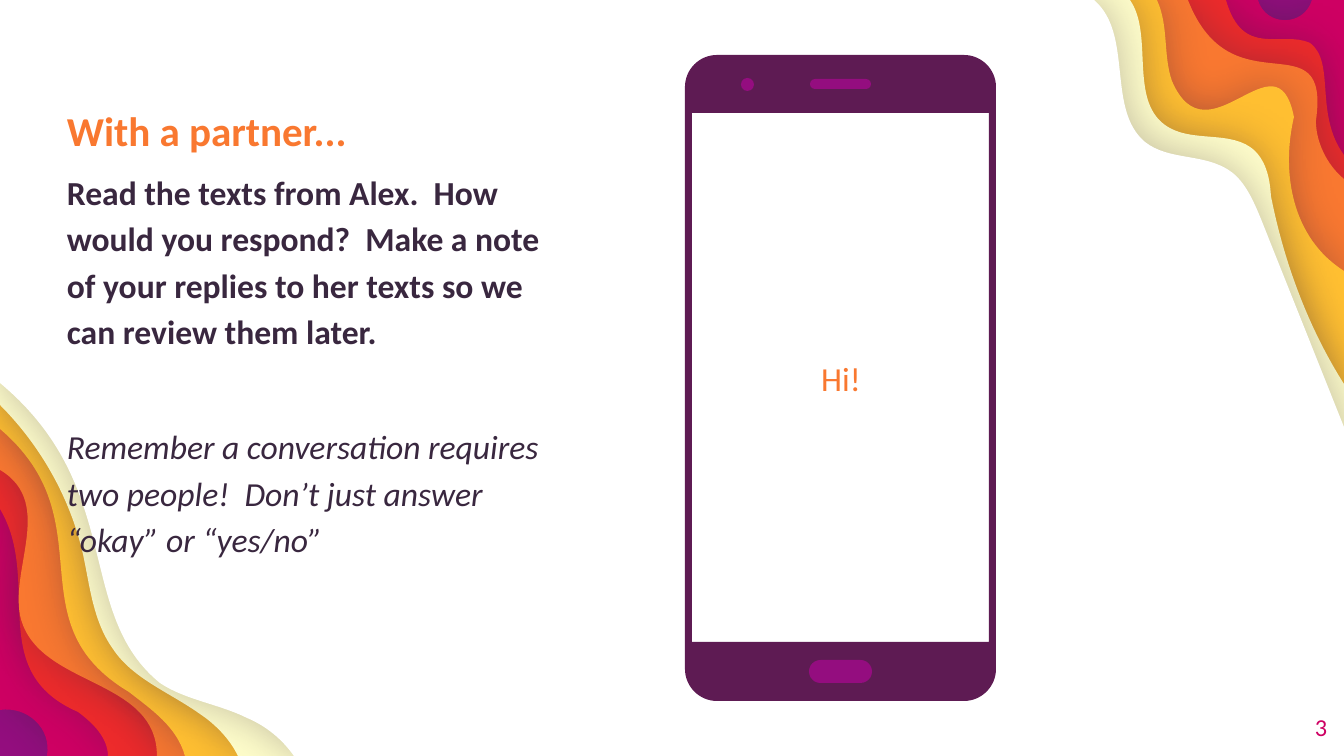
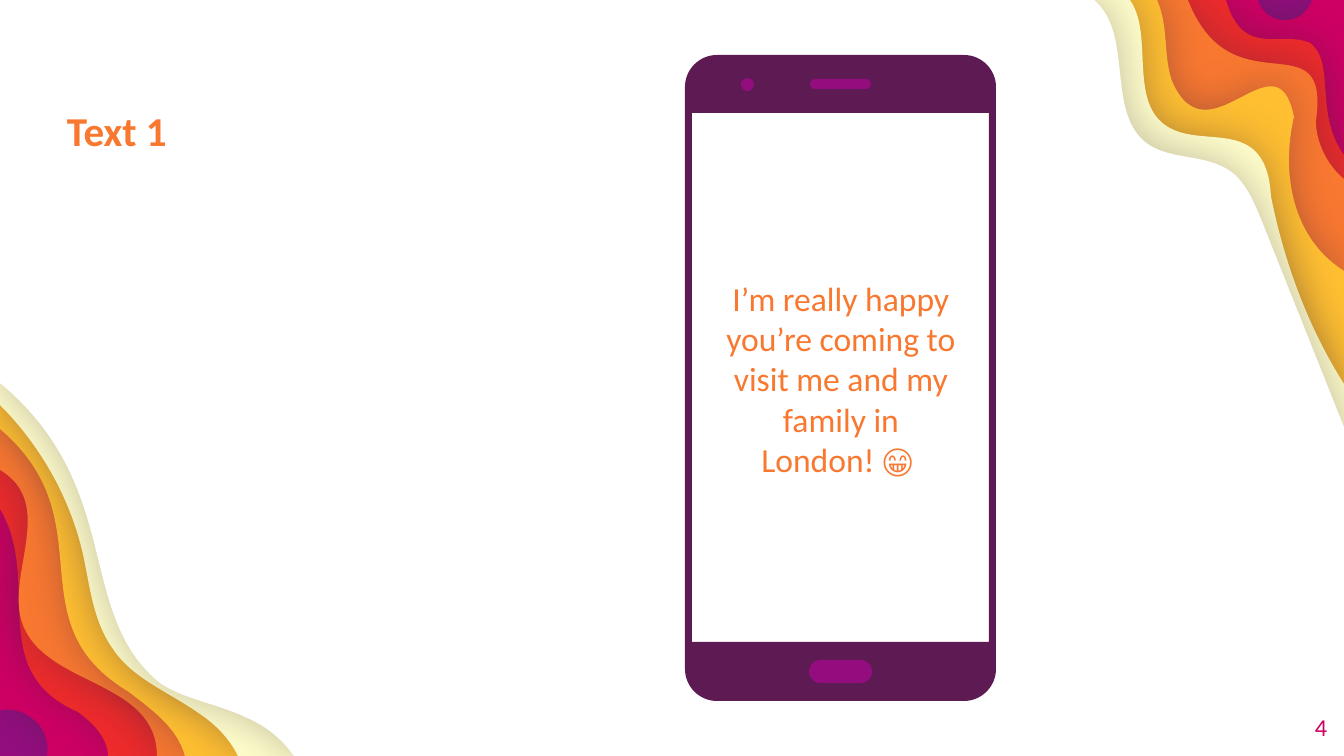
from lxml import etree
from pptx import Presentation
from pptx.dml.color import RGBColor
from pptx.enum.shapes import MSO_SHAPE
from pptx.enum.text import MSO_ANCHOR, PP_ALIGN
from pptx.oxml.ns import qn
from pptx.util import Pt

ROUNDED, OVAL = MSO_SHAPE.ROUNDED_RECTANGLE, MSO_SHAPE.OVAL
TOP, MIDDLE = MSO_ANCHOR.TOP, MSO_ANCHOR.MIDDLE
LEFT, CENTER, RIGHT = PP_ALIGN.LEFT, PP_ALIGN.CENTER, PP_ALIGN.RIGHT

W, H = 1344, 756
FONT = "Calibri"
COLORS = {
    "purple": "940D7F", "magenta": "CE0063", "red": "ED2B2B", "orange": "F97830",
    "yellow": "FFBF31", "cream": "FEFDCA", "white": "FFFFFF", "ink": "39273F",
    "phone": "5E1B53",
}

# Each wave: colour, top-right edge, bottom-left edge.
# Two numbers are a straight point, six are a Bezier curve.
WAVES = [
    ("magenta",
     [(1344, 0), (1312, 0), (1304, 27, 1266, 27, 1258, 0)],
     [(0, 710), (27, 706, 52, 728, 47, 756)]),
    ("red",
     [(1344, 155), (1314, 114, 1336, 62, 1310, 43), (1281, 30, 1243, 59, 1226, 0)],
     [(0, 509), (43, 581, -16, 671, 78, 712), (93, 723, 108, 738, 108, 756)]),
    ("orange",
     [(1344, 179), (1327, 165, 1316, 142, 1316, 121), (1331, 16, 1232, 113, 1188, 0)],
     [(0, 470), (58, 504, 4, 577, 23, 625), (47, 687, 157, 680, 157, 756)]),
    ("yellow",
     [(1344, 271), (1292, 238, 1281, 173, 1294, 117),
      (1277, 30, 1208, 165, 1172, 81), (1163, 55, 1169, 26, 1157, 0)],
     [(0, 429), (108, 521, 12, 622, 129, 692), (152, 710, 177, 727, 185, 756)]),
    ("cream",
     [(1344, 384), (1308, 327, 1284, 262, 1271, 196), (1270, 180, 1267, 163, 1255, 151),
      (1232, 129, 1191, 144, 1165, 125), (1129, 99, 1154, 34, 1130, 0)],
     [(0, 405), (40, 445, 70, 497, 83, 554), (90, 586, 93, 621, 113, 649),
      (133, 679, 169, 692, 200, 714), (215, 724, 230, 739, 238, 756)]),
    ("white",
     [(1344, 427), (1261, 219), (1254, 202, 1245, 181, 1230, 171),
      (1204, 153, 1169, 161, 1145, 142), (1106, 109, 1134, 34, 1094, 0)],
     [(0, 383), (126, 488, 74, 613, 160, 683), (185, 700, 219, 704, 247, 718),
      (266, 726, 282, 739, 294, 756)]),
]

SLIDES = [
    {
        "number": "3",
        "body": [
            ("With a partner...", dict(size=22, color="orange", bold=True)),
            ("Read the texts from Alex.  How would you respond?  Make a note of "
             "your replies to her texts so we can review them later.",
             dict(bold=True, before=6)),
            ("Remember a conversation requires two people!  Don’t just answer "
             "“okay” or “yes/no”", dict(italic=True, before=37)),
        ],
        "message": "Hi!",
    },
    {
        "number": "4",
        "body": [("Text 1", dict(size=22, color="orange", bold=True))],
        "message": "I’m really happy you’re coming to visit me and my family in London! 😁 ",
    },
]


def px(n):
    return round(n * 914400 / 134.4)


def rgb(name):
    return RGBColor.from_string(COLORS[name])


def paint(sp, color):
    sp.shadow.inherit = False
    sp.fill.solid()
    sp.fill.fore_color.rgb = rgb(color)
    sp.line.fill.background()
    return sp


def add_outline(s, color, *contours):
    """Draw closed contours of points and curves; an inner contour cuts a hole."""
    contours = [[[px(n) for n in part] for part in c] for c in contours]
    builder = s.shapes.build_freeform(*contours[0][0])
    for i, parts in enumerate(contours):
        if i:
            builder.move_to(*parts[0])
        builder.add_line_segments([part[-2:] for part in parts[1:]], close=True)
    sp = paint(builder.convert_to_shape(), color)
    segments = list(sp._element.iter(qn("a:lnTo")))
    for segment, part in zip(segments, [part for c in contours for part in c[1:]]):
        if len(part) == 6:
            bend(segment, part, sp.left, sp.top)
    return sp


def bend(segment, curve, left, top):
    """Turn a straight segment into a Bezier curve."""
    bezier = etree.Element(qn("a:cubicBezTo"))
    for x, y in zip(curve[::2], curve[1::2]):
        etree.SubElement(bezier, qn("a:pt"), x=str(x - left), y=str(y - top))
    segment.getparent().replace(segment, bezier)


def add_preset(s, kind, box, color):
    sp = paint(s.shapes.add_shape(kind, *map(px, box)), color)
    if kind == ROUNDED:
        sp.adjustments[0] = 0.5


def add_text(s, box, paragraphs, anchor=TOP, inset=0):
    tf = s.shapes.add_textbox(*map(px, box)).text_frame
    tf.word_wrap = True
    tf.vertical_anchor = anchor
    tf.margin_left = tf.margin_top = tf.margin_right = tf.margin_bottom = px(inset)
    for i, (text, fmt) in enumerate(paragraphs):
        write(tf.add_paragraph() if i else tf.paragraphs[0], text, **fmt)


def write(p, text, size=18, color="ink", bold=False, italic=False,
          align=LEFT, before=0, spacing=1.15):
    p.alignment, p.line_spacing, p.space_before = align, spacing, Pt(before)
    r = p.add_run()
    r.text = text
    r.font.name, r.font.size = FONT, Pt(size)
    r.font.bold, r.font.italic = bold, italic
    r.font.color.rgb = rgb(color)


def rounded_box(x, y, w, h, radius):
    right, bottom = x + w, y + h
    near = radius * 0.45  # distance of a control point from its corner
    return [
        (x + radius, y), (right - radius, y),
        (right - near, y, right, y + near, right, y + radius),
        (right, bottom - radius),
        (right, bottom - near, right - near, bottom, right - radius, bottom),
        (x + radius, bottom),
        (x + near, bottom, x, bottom - near, x, bottom - radius),
        (x, y + radius),
        (x, y + near, x + near, y, x + radius, y),
    ]


def add_soft_shadow(sp):
    effects = sp._element.spPr.find(qn("a:effectLst"))
    shadow = etree.SubElement(effects, qn("a:outerShdw"), blurRad=str(Pt(22.5)),
                              dist=str(Pt(0.8)), dir="0", algn="bl", rotWithShape="0")
    color = etree.SubElement(shadow, qn("a:srgbClr"), val=COLORS["ink"])
    etree.SubElement(color, qn("a:alpha"), val="30000")


def add_waves(s):
    s.background.fill.solid()
    s.background.fill.fore_color.rgb = rgb("purple")
    for color, top_right, bottom_left in WAVES:
        outline = top_right + [(0, 0)] + bottom_left + [(W, H)]
        add_soft_shadow(add_outline(s, color, outline))


def add_phone(s, box, message):
    x, y, w, h = box
    # Message on the screen
    add_text(s, (x + 8, y + 61, 296, 525),
             [(message, dict(color="orange", align=CENTER, spacing=1.0))],
             anchor=MIDDLE, inset=13)
    # Case with a cut-out screen
    left, top, right, bottom = x + 7, y + 58, x + w - 7, y + h - 59
    screen = [(left, top), (left, bottom), (right, bottom), (right, top)]
    add_outline(s, "phone", rounded_box(*box, radius=32), screen)
    # Home button, camera, speaker
    add_preset(s, ROUNDED, (x + 124, y + 605, 63, 23), "purple")
    add_preset(s, OVAL, (x + 56, y + 23, 13, 13), "purple")
    add_preset(s, ROUNDED, (x + 125, y + 24, 61, 10), "purple")


def add_texting_slide(prs, content):
    s = prs.slides.add_slide(prs.slide_layouts[6])
    add_waves(s)
    add_text(s, (67, 98, 507, 323), content["body"])
    add_phone(s, (685, 55, 311, 646), content["message"])
    add_text(s, (1246, 698, 81, 58),
             [(content["number"], dict(size=13, color="magenta", align=RIGHT, spacing=1.0))],
             anchor=MIDDLE)


def main():
    prs = Presentation()
    prs.slide_width, prs.slide_height = px(W), px(H)
    for content in SLIDES:
        add_texting_slide(prs, content)
    prs.save("out.pptx")


if __name__ == "__main__":
    main()
